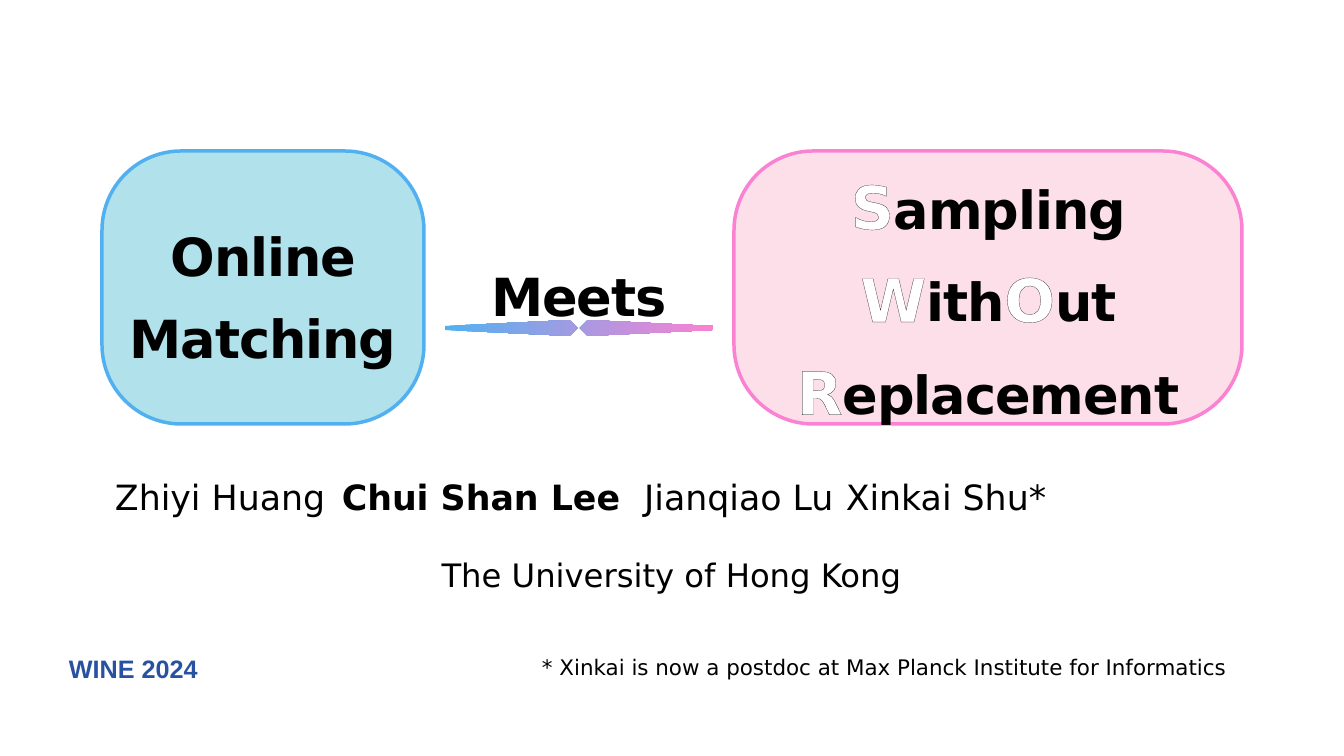
from lxml import etree
from pptx import Presentation
from pptx.dml.color import RGBColor as RGB
from pptx.enum.shapes import MSO_SHAPE as SHAPE
from pptx.enum.text import MSO_ANCHOR as ANCHOR, PP_ALIGN as ALIGN
from pptx.oxml import parse_xml
from pptx.oxml.ns import nsdecls, qn
from pptx.util import Pt

PX = 18143
C = {"black": "000000", "white": "FFFFFF", "navy": "2951A1",
     "blue": "51B1F0", "cyan": "B1E1EA", "pink": "FB82D3", "rose": "FCDFE8"}
SANS = "DejaVu Sans"


def frame(sp, anchor=ANCHOR.MIDDLE):
    tf = sp.text_frame
    tf.word_wrap = True
    tf.vertical_anchor = anchor
    tf.margin_left = tf.margin_right = tf.margin_top = tf.margin_bottom = 3 * PX
    return tf


def add_run(p, text, size, bold=False, color="black", font=SANS, spacing=0):
    r = p.add_run()
    r.text = text
    r.font.size = Pt(size)
    r.font.bold = bold
    r.font.name = font
    r.font.color.rgb = RGB.from_string(C[color])
    if spacing:
        r.font._element.set("spc", str(spacing))
    return r


prs = Presentation()
prs.slide_width, prs.slide_height = 1344 * PX, 756 * PX
s = prs.slides.add_slide(prs.slide_layouts[6])

footers = [
    (66, 141, "WINE 2024", 36, True, "navy", "Arial"),
    (539, 738, "* Xinkai is now a postdoc at Max Planck Institute for Informatics",
     30.6, False, "black", SANS),
]
for x, w, text, size, bold, color, font in footers:
    sp = s.shapes.add_textbox(x * PX, 654 * PX, w * PX, 35 * PX)
    p = frame(sp, ANCHOR.TOP).paragraphs[0]
    p.line_spacing = 0.9
    add_run(p, text, size, bold, color, font)

sp = s.shapes.add_textbox(66 * PX, 472 * PX, 1211 * PX, 126 * PX)
tf = frame(sp)
p = tf.paragraphs[0]
pPr = p._p.get_or_add_pPr()
pPr.set("marL", str(46 * PX))
pPr.set("indent", "0")
tabs = etree.SubElement(pPr, qn("a:tabLst"))
for x in (334, 690, 957):
    etree.SubElement(tabs, qn("a:tab"), pos=str(x * PX), algn="l")
add_run(p, "Zhiyi Huang\t", 49.7)
add_run(p, "Chui Shan Lee\t", 49.7, True)
add_run(p, "Jianqiao Lu\tXinkai Shu*", 49.7)
p = tf.add_paragraph()
p.alignment = ALIGN.CENTER
p.space_before = Pt(54)
add_run(p, "The University of Hong Kong", 46.1)

topics = [
    (734, 508, "rose", "pink",
     ["S", "ampling ", "W", "ith", "O", "ut ", "R", "eplacement"]),
    (102, 322, "cyan", "blue", ["Online Matching"]),
]
for x, w, fill, line, parts in topics:
    sp = s.shapes.add_shape(SHAPE.ROUNDED_RECTANGLE, x * PX, 151 * PX, w * PX, 273 * PX)
    sp.adjustments[0] = 0.29
    sp.shadow.inherit = False
    sp.fill.solid()
    sp.fill.fore_color.rgb = RGB.from_string(C[fill])
    sp.line.color.rgb = RGB.from_string(C[line])
    sp.line.width = Pt(5)
    p = frame(sp).paragraphs[0]
    p.alignment = ALIGN.CENTER
    p.line_spacing = 1.3
    for part in parts:
        if len(part) == 1:
            r = add_run(p, part, 85, True, "white", spacing=-170)
            r.font._element.insert(0, parse_xml(
                f'<a:ln {nsdecls("a")} w="63500"><a:solidFill>'
                f'<a:srgbClr val="{C["black"]}"/></a:solidFill></a:ln>'))
        else:
            add_run(p, part, 75, True, spacing=-150)

grp = s.shapes.add_group_shape()
sp = grp.shapes.add_textbox(463 * PX, 244 * PX, 232 * PX, 85 * PX)
p = frame(sp).paragraphs[0]
p.alignment = ALIGN.CENTER
p.line_spacing = 1.3
add_run(p, "Meets", 75, True, spacing=-150)

left = [(570, 320), (445, 326), (445, 330), (570, 336), (578, 328)]
right = [(1158 - x, y) for x, y in left]
fb = grp.shapes.build_freeform(*left[0], scale=PX)
fb.add_line_segments(left[1:], close=True)
fb.move_to(*right[0])
fb.add_line_segments(right[1:], close=True)
sp = fb.convert_to_shape()
sp.shadow.inherit = False
sp.line.fill.background()
sp.fill.gradient()
sp.fill.gradient_angle = 0
for stop, color in zip(sp.fill.gradient_stops, ("blue", "pink")):
    stop.color.rgb = RGB.from_string(C[color])

prs.save("out.pptx")
